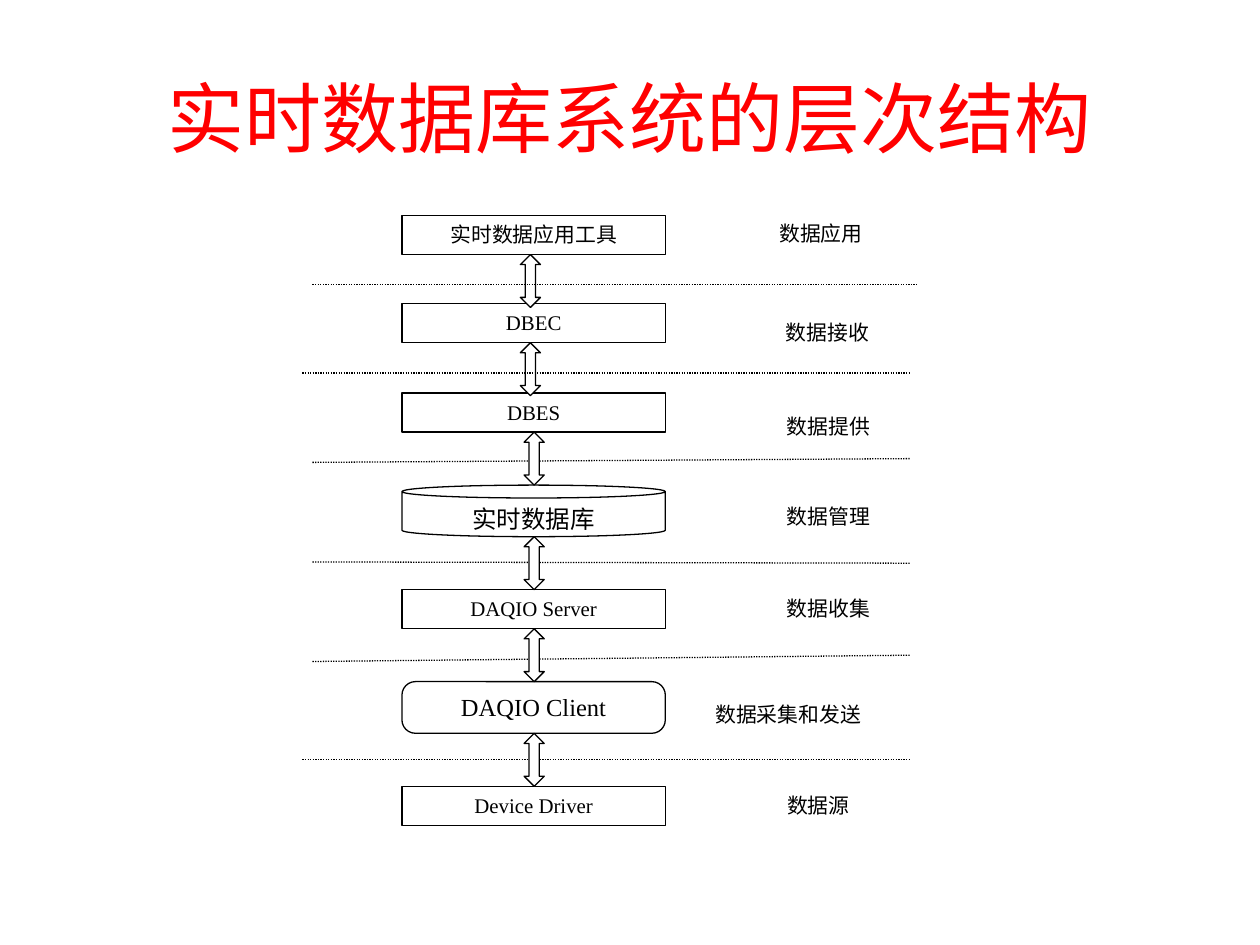
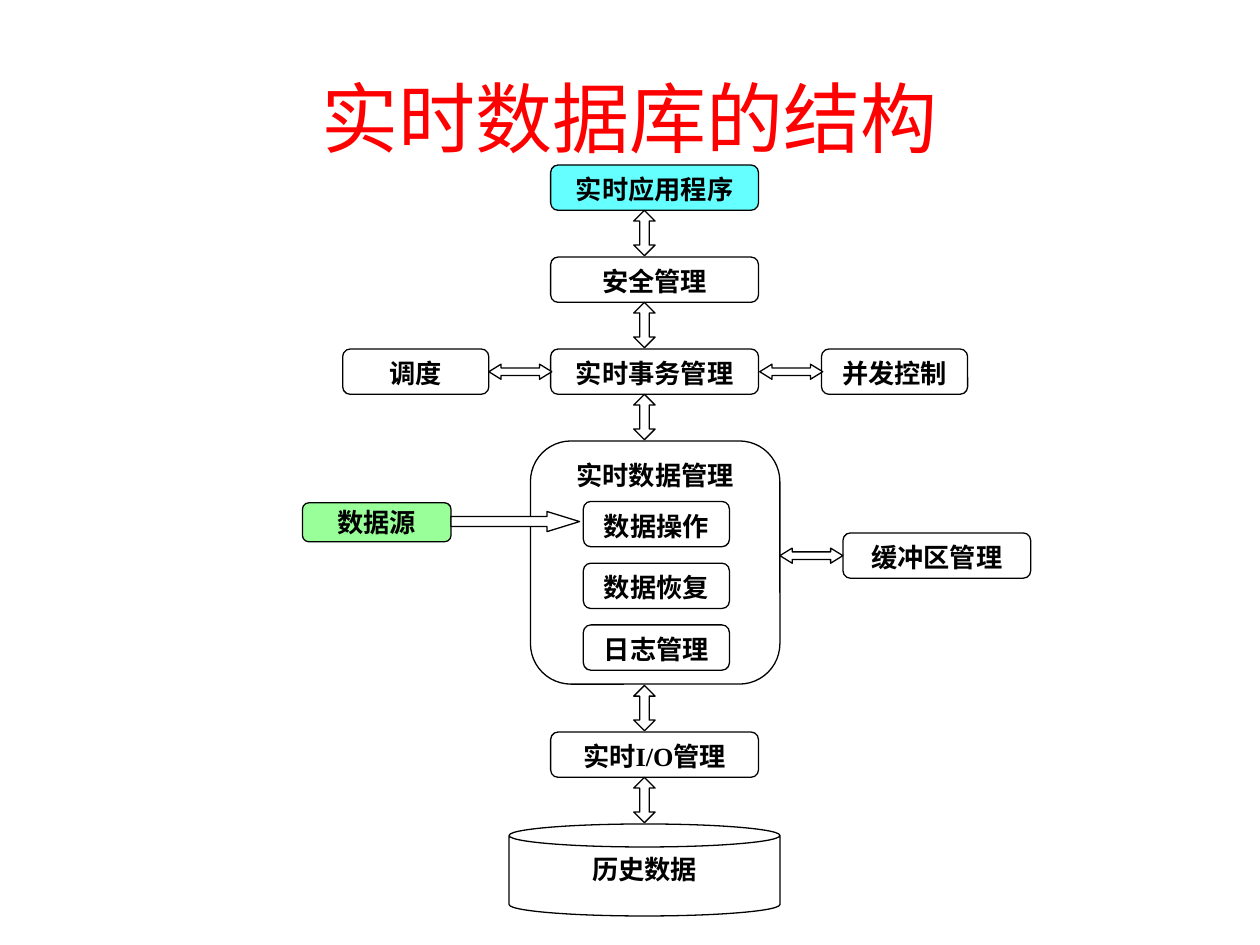
"""Build two slides on the layers and the structure of a real-time database."""
from dataclasses import dataclass

from lxml import etree
from pptx import Presentation
from pptx.dml.color import RGBColor
from pptx.enum.dml import MSO_LINE
from pptx.enum.shapes import MSO_CONNECTOR, MSO_SHAPE as Preset
from pptx.enum.text import MSO_ANCHOR as Anchor, PP_ALIGN
from pptx.oxml.ns import qn
from pptx.slide import Slide
from pptx.text.text import TextFrame
from pptx.util import Inches, Pt

COLORS = {
    "title": "FF0000",
    "ink": "000000",
    "paper": "FFFFFF",
    "application": "66FFFF",
    "source": "99FF99",
}
FONT = "Times New Roman"
LINE_WIDTH = Pt(0.75)
LAYER_LEFT, LAYER_WIDTH = 3.19, 2.09
LAYER_TEXT, LAYER_TEXT_LARGE, MODULE_TEXT = 11.9, 14, 15
LABEL_HEIGHT = 0.31
ROW_PITCH = 0.73
MODULE_HEIGHT = 0.36


@dataclass(frozen=True)
class Block:
    left: float
    top: float
    width: float
    height: float
    text: str = ""
    preset: Preset = Preset.ROUNDED_RECTANGLE
    adjustments: tuple[float, ...] = ()
    fill: str = "paper"
    size: float = MODULE_TEXT
    bold: bool = True
    anchor: Anchor = Anchor.TOP
    wrap: bool = True


@dataclass(frozen=True)
class Layer:
    top: float
    name: str
    role: str
    role_left: float
    role_top: float
    role_width: float = 1.29
    height: float = 0.31
    preset: Preset = Preset.RECTANGLE
    adjustments: tuple[float, ...] = ()
    size: float = LAYER_TEXT
    link_left: float = 4.16


@dataclass(frozen=True)
class Divider:
    left: float
    start: float
    right: float
    end: float


LAYERS = (
    Layer(1.71, "实时数据应用工具", "数据应用", 5.87, 1.7, link_left=4.13),
    Layer(2.41, "DBEC", "数据接收", 5.92, 2.49, link_left=4.13),
    Layer(3.12, "DBES", "数据提供", 5.93, 3.23),
    Layer(3.85, "实时数据库", "数据管理", 5.93, 3.95, height=0.41,
          preset=Preset.CAN, adjustments=(0.25,), size=LAYER_TEXT_LARGE),
    Layer(4.68, "DAQIO Server", "数据收集", 5.77, 4.68, 1.61),
    Layer(5.41, "DAQIO Client", "数据采集和发送", 5.45, 5.52, 1.61, 0.41,
          Preset.ROUNDED_RECTANGLE, (0.26,), LAYER_TEXT_LARGE),
    Layer(6.24, "Device Driver", "数据源", 5.77, 6.24, 1.45),
)
LOWER_DIVIDERS = (
    Divider(2.48, 3.67, 7.22, 3.64),
    Divider(2.48, 4.46, 7.22, 4.47),
    Divider(2.48, 5.25, 7.22, 5.2),
    Divider(2.4, 6.03, 7.22, 6.03),
)
UPPER_DIVIDERS = (
    Divider(2.4, 2.96, 7.22, 2.96),
    Divider(2.48, 2.26, 7.29, 2.26),
)


def rgb(name: str) -> RGBColor:
    return RGBColor.from_string(COLORS[name])


def write(frame: TextFrame, text: str, size: float, color: str = "ink",
          bold: bool = False, anchor: Anchor = Anchor.TOP,
          wrap: bool = True) -> None:
    frame.word_wrap = wrap
    frame.vertical_anchor = anchor
    paragraph = frame.paragraphs[0]
    paragraph.text = text
    paragraph.alignment = PP_ALIGN.CENTER
    paragraph.font.name = FONT
    paragraph.font.size = Pt(size)
    paragraph.font.bold = bold
    paragraph.font.color.rgb = rgb(color)


def draw_title(slide: Slide, text: str) -> None:
    title = slide.shapes.add_textbox(Inches(0.5), Inches(0.3), Inches(9), Inches(1.25))
    write(title.text_frame, text, 44, "title", anchor=Anchor.MIDDLE)


def draw_block(slide: Slide, block: Block) -> None:
    shape = slide.shapes.add_shape(
        block.preset, Inches(block.left), Inches(block.top),
        Inches(block.width), Inches(block.height))
    shape.shadow.inherit = False
    for index, value in enumerate(block.adjustments):
        shape.adjustments[index] = value
    shape.fill.solid()
    shape.fill.fore_color.rgb = rgb(block.fill)
    shape.line.color.rgb = rgb("ink")
    shape.line.width = LINE_WIDTH
    if block.text:
        write(shape.text_frame, block.text, block.size, bold=block.bold,
              anchor=block.anchor, wrap=block.wrap)


def draw_divider(slide: Slide, divider: Divider) -> None:
    line = slide.shapes.add_connector(
        MSO_CONNECTOR.STRAIGHT, Inches(divider.left), Inches(divider.start),
        Inches(divider.right), Inches(divider.end))
    line.line.color.rgb = rgb("ink")
    line.line.width = LINE_WIDTH
    line.line.dash_style = MSO_LINE.ROUND_DOT
    etree.SubElement(line._element.spPr, qn("a:effectLst"))


def draw_role(slide: Slide, layer: Layer) -> None:
    role = slide.shapes.add_textbox(
        Inches(layer.role_left), Inches(layer.role_top),
        Inches(layer.role_width), Inches(LABEL_HEIGHT))
    write(role.text_frame, layer.role, LAYER_TEXT)


def build_layers(slide: Slide) -> None:
    draw_title(slide, "实时数据库系统的层次结构")
    for divider in LOWER_DIVIDERS:
        draw_divider(slide, divider)
    for layer in LAYERS:
        draw_block(slide, Block(
            LAYER_LEFT, layer.top, LAYER_WIDTH, layer.height, layer.name,
            layer.preset, layer.adjustments, size=layer.size, bold=False))
        draw_role(slide, layer)
    for layer in LAYERS[:-1]:
        draw_block(slide, Block(
            layer.link_left, layer.top + layer.height, 0.16, 0.42,
            preset=Preset.UP_DOWN_ARROW, adjustments=(0.5, 0.51)))
    for divider in UPPER_DIVIDERS:
        draw_divider(slide, divider)


def build_structure(slide: Slide) -> None:
    draw_title(slide, "实时数据库的结构")
    first_row, io_row = 1.31, 5.81
    transaction_row = first_row + 2 * ROW_PITCH
    main_modules = (
        (first_row, "实时应用程序", "application"),
        (first_row + ROW_PITCH, "安全管理", "paper"),
        (transaction_row, "实时事务管理", "paper"),
        (io_row, "实时I/O管理", "paper"),
    )
    for top, text, fill in main_modules:
        draw_block(slide, Block(4.37, top, 1.65, MODULE_HEIGHT, text, fill=fill))

    side_modules = (
        Block(2.72, transaction_row, 1.16, MODULE_HEIGHT, "调度"),
        Block(6.52, transaction_row, 1.16, MODULE_HEIGHT, "并发控制"),
        Block(6.69, 4.23, 1.49, MODULE_HEIGHT, "缓冲区管理"),
        Block(4.21, 3.5, 1.98, 1.93, "实时数据管理"),
        Block(4.04, io_row + ROW_PITCH, 2.15, 0.73, "历史数据", Preset.CAN, (0.25,)),
        Block(2.4, 3.99, 1.18, 0.31, "数据源", fill="source",
              anchor=Anchor.MIDDLE, wrap=False),
    )
    for module in side_modules:
        draw_block(slide, module)
    for index, text in enumerate(("数据操作", "数据恢复", "日志管理")):
        draw_block(slide, Block(4.63, 3.98 + 0.49 * index, 1.16, MODULE_HEIGHT, text))

    module_bottoms = [first_row + MODULE_HEIGHT + ROW_PITCH * row for row in range(3)]
    for top in (*module_bottoms, 5.44, io_row + MODULE_HEIGHT):
        draw_block(slide, Block(5.03, top, 0.17, 0.36, preset=Preset.UP_DOWN_ARROW,
                                adjustments=(0.5, 0.44)))
    for left, top in ((3.88, 2.89), (6.03, 2.89), (6.19, 4.35)):
        draw_block(slide, Block(left, top, 0.5, 0.12, preset=Preset.LEFT_RIGHT_ARROW,
                                adjustments=(0.5, 0.81)))
    draw_block(slide, Block(3.58, 4.06, 1.02, 0.16, preset=Preset.RIGHT_ARROW,
                            adjustments=(0.5, 1.62)))


def main() -> None:
    deck = Presentation()
    deck.slide_width, deck.slide_height = Inches(10), Inches(7.5)
    for build in (build_layers, build_structure):
        build(deck.slides.add_slide(deck.slide_layouts[6]))
    deck.save("out.pptx")


if __name__ == "__main__":
    main()
